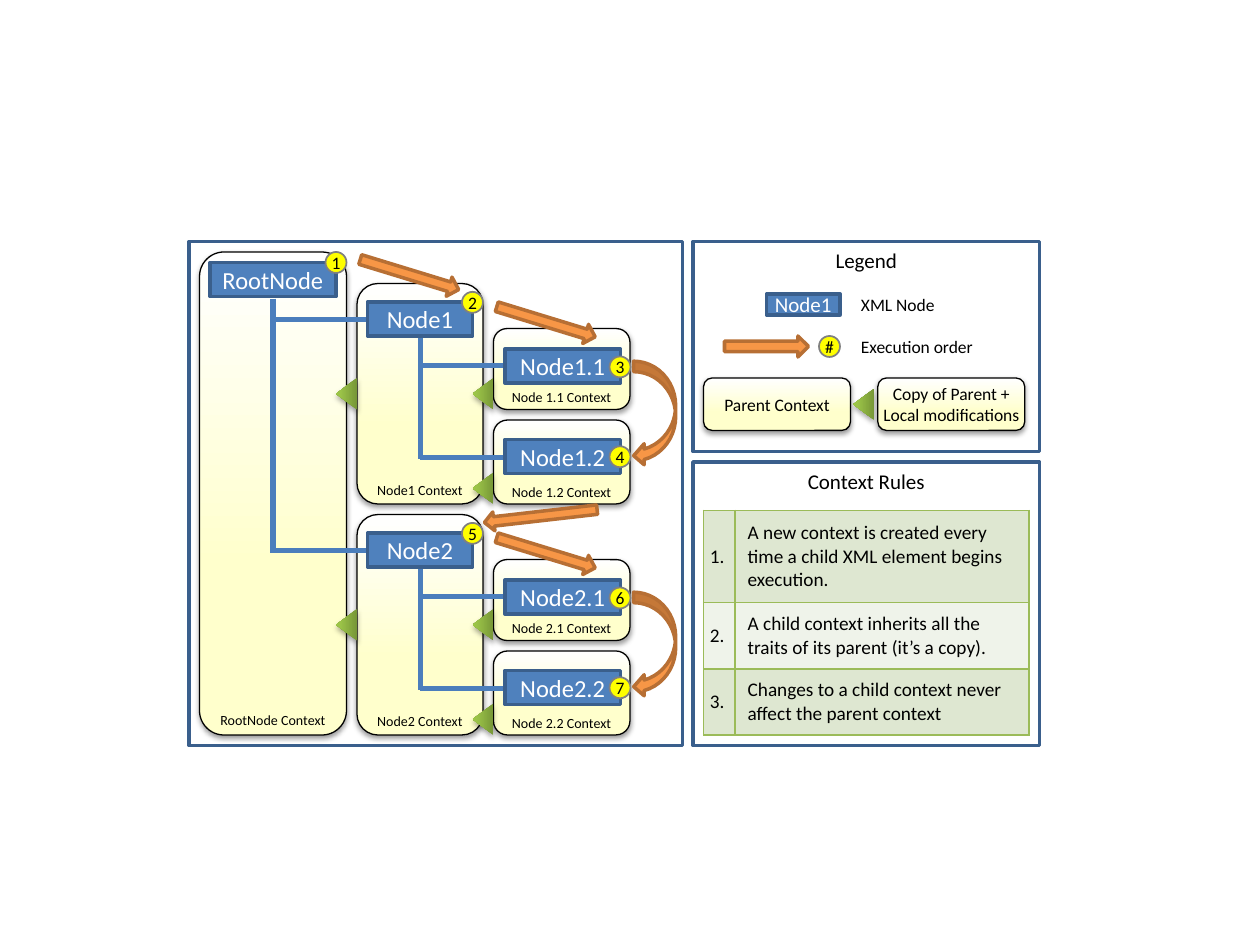
from dataclasses import dataclass
from pptx import Presentation
from pptx.dml.color import RGBColor
from pptx.enum.shapes import MSO_CONNECTOR, MSO_SHAPE
from pptx.enum.text import MSO_ANCHOR, PP_ALIGN
from pptx.oxml import parse_xml
from pptx.oxml.ns import nsdecls, qn
from pptx.util import Inches, Pt
from lxml.etree import SubElement


@dataclass(frozen=True)
class Theme:
    font: str = "Calibri"
    black: str = "000000"
    white: str = "FFFFFF"
    node: str = "4F81BD"
    frame: str = "3A5F8C"
    branch: str = "4B7EBC"
    arrow: str = "F79646"
    arrow_edge: str = "B76F34"
    badge: str = "FFFF00"
    badge_edge: str = "808080"
    border: str = "9BBB59"
    bands: tuple = ("DEE7D1", "EFF3EA")
    context: tuple = ((0, "FFFFCC"), (35, "FFFFCC"), (100, "FFFFFF"))
    inherit: tuple = ((0, "779737"), (80, "9BC348"), (100, "9DC746"))
    caption: int = 8
    label: int = 10
    rule: int = 11
    heading: int = 12
    name: int = 14


theme = Theme()
CELL = Inches(1) // 12
presentation = Presentation()
presentation.slide_width = 120 * CELL
presentation.slide_height = 90 * CELL
slide = presentation.slides.add_slide(presentation.slide_layouts[6])


def write_text(frame, text, size=theme.label, color=theme.black, align=PP_ALIGN.CENTER,
               anchor=MSO_ANCHOR.MIDDLE, margin=0, wrap=True):
    frame.word_wrap = wrap
    frame.vertical_anchor = anchor
    if margin is not None:
        frame.margin_left = frame.margin_right = margin
        frame.margin_top = frame.margin_bottom = margin
    paragraph = frame.paragraphs[0]
    paragraph.alignment = align
    run = paragraph.add_run()
    run.text = text
    run.font.name = theme.font
    run.font.size = Pt(size)
    run.font.color.rgb = RGBColor.from_string(color)


def draw(kind, box, fill=None, line=None, width=2, rotation=0, shadow=None, text=None, **text_format):
    shape = slide.shapes.add_shape(kind, *(round(length * CELL) for length in box))
    shape.rotation = rotation
    shape.shadow.inherit = False
    properties = shape._element.spPr
    if fill is None:
        shape.fill.background()
    elif isinstance(fill, str):
        shape.fill.solid()
        shape.fill.fore_color.rgb = RGBColor.from_string(fill)
    else:
        shape.fill.gradient()
        stops = "".join(f'<a:gs pos="{position * 1000}"><a:srgbClr val="{color}"/></a:gs>'
                        for position, color in fill)
        gradient = parse_xml(f'<a:gradFill {nsdecls("a")} rotWithShape="1"><a:gsLst>{stops}</a:gsLst>'
                             '<a:lin ang="16200000" scaled="0"/></a:gradFill>')
        properties.replace(properties.find(qn("a:gradFill")), gradient)
    if line:
        shape.line.color.rgb = RGBColor.from_string(line)
        shape.line.width = Pt(width)
    else:
        shape.line.fill.background()
    if shadow:
        distance, opacity = shadow
        properties.find(qn("a:effectLst")).append(parse_xml(
            f'<a:outerShdw {nsdecls("a")} blurRad="{Pt(3.1)}" dist="{Pt(distance)}" dir="5400000" '
            f'rotWithShape="0"><a:srgbClr val="{theme.black}"><a:alpha val="{opacity * 1000}"/>'
            '</a:srgbClr></a:outerShdw>'))
    if text:
        write_text(shape.text_frame, text, **text_format)


context_style = dict(fill=theme.context, line=theme.black, width=0.75, shadow=(1.6, 38))
node_style = dict(fill=theme.node, line=theme.frame, color=theme.white, wrap=False)
badge_style = dict(fill=theme.badge, line=theme.badge_edge, width=1)
arrow_style = dict(fill=theme.arrow, line=theme.arrow_edge)
inherit_style = dict(fill=theme.inherit, rotation=270, shadow=(1.8, 35))

contexts = [("RootNode Context", 19, 24, 14, 46)]
nodes = [("RootNode", 20, 25, 12)]
badges = [(31, 24)]
branches = [(26, 28.45, 26, 52.7)]
slopes = [(34.1, 25.2)]
bends = []
triangles = []
for branch_number, drop in ((1, 0), (2, 22)):
    contexts += [(f"Node{branch_number} Context", 34, 27 + drop, 12, 21),
                 (f"Node {branch_number}.1 Context", 47, 31.3 + drop, 13, 7.7),
                 (f"Node {branch_number}.2 Context", 47, 40 + drop, 13, 8)]
    nodes += [(f"Node{branch_number}", 35, 28.75 + drop, 10),
              (f"Node{branch_number}.1", 48.1, 33.25 + drop, 11),
              (f"Node{branch_number}.2", 48.1, 41.85 + drop, 11)]
    badges += [(44, 27.8 + drop), (58.05, 33.95 + drop), (58.05, 42.5 + drop)]
    branches += [(40.05, 32 + drop, 40.05, 43.7 + drop), (35, 30.4 + drop, 26, 30.4 + drop),
                 (48.1, 34.8 + drop, 40, 34.8 + drop), (48.1, 43.55 + drop, 40, 43.55 + drop)]
    slopes.append((47.1, 29.7 + drop))
    bends.append((60.35, 34.4 + drop))
    triangles += [(31.5, 36.5 + drop), (44.5, 36.5 + drop), (44.5, 45.5 + drop)]

for caption, *box in contexts:
    draw(MSO_SHAPE.ROUNDED_RECTANGLE, box, text=caption, size=theme.caption,
         anchor=MSO_ANCHOR.BOTTOM, **context_style)
for ends in branches:
    connector = slide.shapes.add_connector(MSO_CONNECTOR.STRAIGHT, *(round(end * CELL) for end in ends))
    connector.line.color.rgb = RGBColor.from_string(theme.branch)
    connector.line.width = Pt(3)
    SubElement(connector._element.spPr, qn("a:effectLst"))
for name, left, top, width in nodes:
    draw(MSO_SHAPE.RECTANGLE, (left, top, width, 3.25), text=name, size=theme.name, **node_style)
for order, (left, top) in enumerate(badges, 1):
    draw(MSO_SHAPE.OVAL, (left, top, 2, 2), text=str(order), **badge_style)

draw(MSO_SHAPE.RECTANGLE, (18, 23, 47, 48), line=theme.frame)
for left, top in slopes:
    draw(MSO_SHAPE.RIGHT_ARROW, (left, top, 9.8, 1.9), rotation=17, **arrow_style)
for left, top in bends:
    draw(MSO_SHAPE.CURVED_LEFT_ARROW, (left, top, 4, 10), **arrow_style)
draw(MSO_SHAPE.RIGHT_ARROW, (46.1, 48.25, 10.8, 1.8), rotation=173.5, **arrow_style)

for left, text in ((67, "Parent Context"), (83.6, "Copy of Parent + Local modifications")):
    draw(MSO_SHAPE.ROUNDED_RECTANGLE, (left, 36, 14, 5), text=text, **context_style)
for left, top in triangles + [(80.75, 37.5)]:
    draw(MSO_SHAPE.ISOSCELES_TRIANGLE, (left, top, 3, 2), **inherit_style)
for heading, top, height in (("Legend", 23, 20), ("Context Rules", 44, 27)):
    draw(MSO_SHAPE.RECTANGLE, (66, top, 33, height), line=theme.frame, text=heading,
         size=theme.heading, anchor=MSO_ANCHOR.TOP, margin=None)
draw(MSO_SHAPE.RIGHT_ARROW, (69, 32, 8, 2), **arrow_style)
draw(MSO_SHAPE.OVAL, (78, 32, 2, 2), text="#", **badge_style)
draw(MSO_SHAPE.RECTANGLE, (73, 28, 7, 2), text="Node1", size=theme.heading, **node_style)
for top, text in ((28, "XML Node"), (32, "Execution order")):
    text_box = slide.shapes.add_textbox(82 * CELL, top * CELL, 17 * CELL, 2 * CELL)
    write_text(text_box.text_frame, text, align=PP_ALIGN.LEFT, anchor=MSO_ANCHOR.TOP)

rules = ("A new context is created every time a child XML element begins execution.",
         "A child context inherits all the traits of its parent (it’s a copy).",
         "Changes to a child context never affect the parent context")
row_heights = (8.8, 6.3, 6.3)
table = slide.shapes.add_table(3, 2, 67 * CELL, round(48.6 * CELL), 31 * CELL,
                               round(sum(row_heights) * CELL)).table
table.first_row = table.horz_banding = False
for column, width in zip(table.columns, (3, 28)):
    column.width = width * CELL
for row_index, rule in enumerate(rules):
    table.rows[row_index].height = round(row_heights[row_index] * CELL)
    for column_index, text in enumerate((f"{row_index + 1}.", rule)):
        cell = table.cell(row_index, column_index)
        write_text(cell.text_frame, text, size=theme.rule, align=PP_ALIGN.LEFT, margin=None)
        cell.vertical_anchor = MSO_ANCHOR.MIDDLE
        cell.margin_left, cell.margin_right = ((Inches(0.05), 0), (Inches(0.1), Inches(0.1)))[column_index]
        cell.fill.solid()
        cell.fill.fore_color.rgb = RGBColor.from_string(theme.bands[row_index % 2])
        for position, side in enumerate(("lnL", "lnR", "lnT", "lnB")):
            cell._tc.tcPr.insert(position, parse_xml(
                f'<a:{side} {nsdecls("a")} w="{Pt(1)}"><a:solidFill><a:srgbClr val="{theme.border}"/>'
                f'</a:solidFill></a:{side}>'))

presentation.save("out.pptx")
